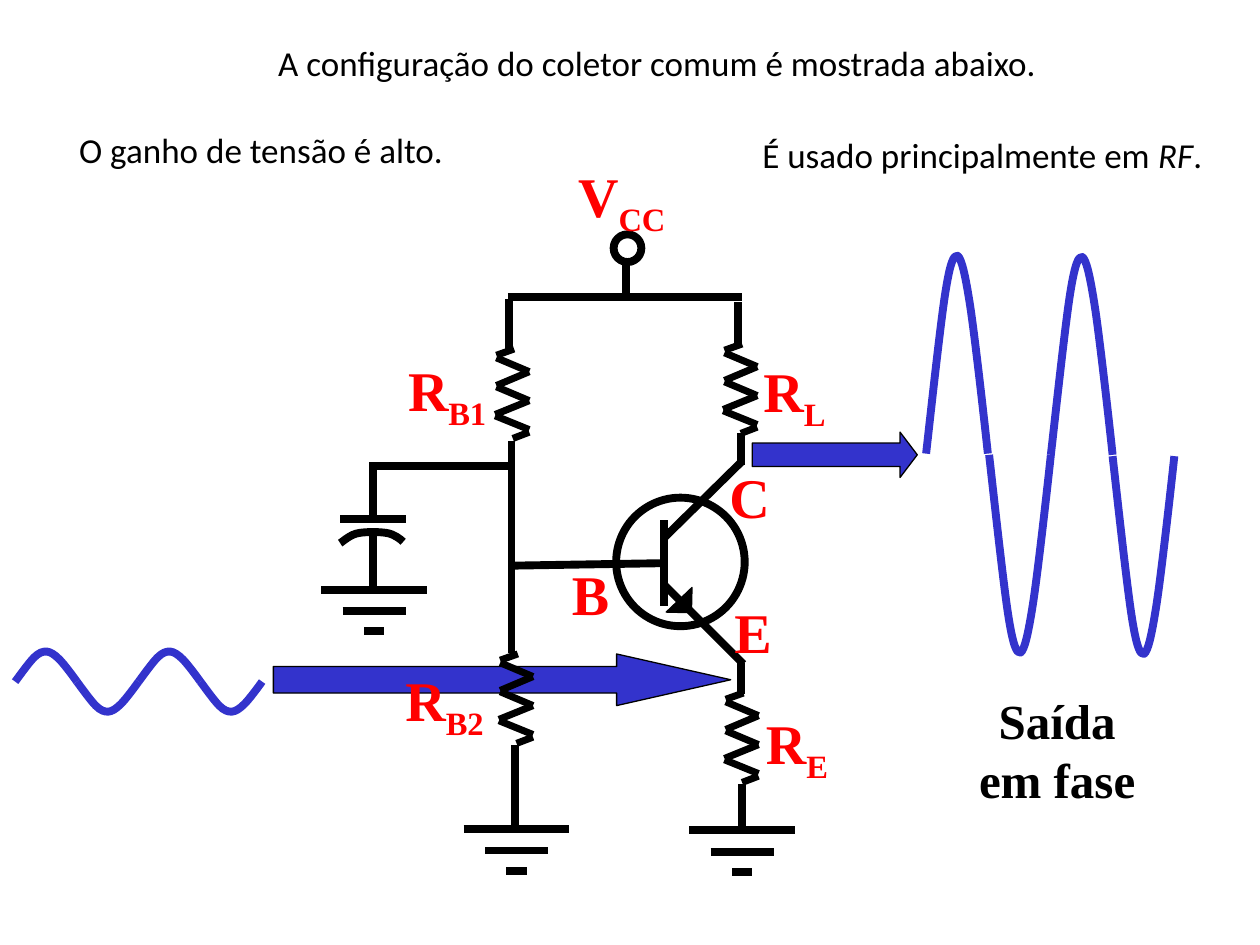
"""Build the common-collector amplifier slide with its input and output waves."""
from lxml import etree
from pptx import Presentation
from pptx import util as u
from pptx.dml.color import RGBColor
from pptx.enum import shapes, text
from pptx.oxml.ns import qn

PX = 9144
BLACK, RED, BLUE = "000000", "FF0000", "3333CC"
SERIF, SANS = "Times New Roman", "Calibri"
HALF_WAVE = [(0, 0), (3, 26), (11, 100), (15, 126), (19, 152), (22, 158), (25, 157),
             (28, 155), (31, 143), (35, 117), (39, 91), (47, 19), (49, 0)]
ZIGZAG = [(27, 18, 1, 7), (27, 41, 1, 30), (27, 64, 0, 53), (0, 52, 27, 41),
          (1, 29, 27, 18), (1, 5, 15, 0), (14, 71, 27, 66)]


def color(code):
    return RGBColor.from_string(code)


class Schematic:
    def __init__(self, slide, wire=4.5, zigzag=4, outline=0.75):
        self.slide = slide
        self.wire_width = wire
        self.zigzag_width = zigzag
        self.outline_width = outline

    def stroke(self, item, code, width):
        item.line.color.rgb = color(code)
        item.line.width = u.Pt(width)

    def wire(self, x1, y1, x2, y2, width=None):
        link = self.slide.shapes.add_connector(
            shapes.MSO_CONNECTOR.STRAIGHT, x1 * PX, y1 * PX, x2 * PX, y2 * PX)
        self.stroke(link, BLACK, width or self.wire_width)
        etree.SubElement(link._element.spPr, qn("a:effectLst"))

    def shape(self, kind, x, y, w, h, fill=None, adjustments=()):
        item = self.slide.shapes.add_shape(kind, x * PX, y * PX, w * PX, h * PX)
        item.shadow.inherit = False
        if fill:
            item.fill.solid()
            item.fill.fore_color.rgb = color(fill)
        else:
            item.fill.background()
        self.stroke(item, BLACK, self.outline_width if fill else self.wire_width)
        for index, value in enumerate(adjustments):
            item.adjustments[index] = value
        return item

    def curve(self, controls, code):
        points = [(round(x * PX), round(y * PX)) for x, y in controls]
        builder = self.slide.shapes.build_freeform(*points[0])
        builder.add_line_segments(points[1:], close=False)
        bend = builder.convert_to_shape()
        bend.shadow.inherit = False
        bend.fill.background()
        self.stroke(bend, code, self.wire_width)
        segments = list(bend._element.iter(qn("a:lnTo")))
        for start in range(0, len(segments), 3):
            first, *others = segments[start:start + 3]
            first.tag = qn("a:cubicBezTo")
            for other in others:
                first.append(other[0])
                other.getparent().remove(other)

    def wave(self, starts, amplitude):
        for half, (x, y) in enumerate(starts):
            rise = amplitude / 158 * (-1 if half % 2 == 0 else 1)
            self.curve([(x + dx, y + rise * dy) for dx, dy in HALF_WAVE], BLUE)

    def resistor(self, x, y):
        for x1, y1, x2, y2 in ZIGZAG:
            self.wire(x + x1, y + y1, x + x2, y + y2, self.zigzag_width)

    def ground(self, center, y):
        for half, drop in ((42, 0), (25, 17), (8, 33)):
            self.wire(center - half, y + drop, center + half, y + drop)

    def text(self, box, paragraphs, size, face, code=BLACK, bold=False,
             centered=False, wrap=False):
        frame = self.slide.shapes.add_textbox(*(v * PX for v in box)).text_frame
        frame.word_wrap = wrap
        frame.auto_size = text.MSO_AUTO_SIZE.SHAPE_TO_FIT_TEXT
        for index, parts in enumerate(paragraphs):
            paragraph = frame.add_paragraph() if index else frame.paragraphs[0]
            font = paragraph.font
            font.size, font.name, font.bold = u.Pt(size), face, bold
            font.color.rgb = color(code)
            if centered:
                paragraph.alignment = text.PP_ALIGN.CENTER
            for words, style in parts:
                run = paragraph.add_run()
                run.text = words
                if style == "italic":
                    run.font.italic = True
                elif style == "sub":
                    run._r.get_or_add_rPr().set("baseline", "-25000")

    def label(self, x, y, w, name, sub=None):
        parts = [(name, None)] + ([(sub, "sub")] if sub else [])
        self.text((x, y, w, 58), [parts], 32, SERIF, RED, bold=True)


def main():
    deck = Presentation()
    deck.slide_width, deck.slide_height = 1000 * PX, 750 * PX
    s = Schematic(deck.slides.add_slide(deck.slide_layouts[6]))
    preset = shapes.MSO_SHAPE

    s.shape(preset.RIGHT_ARROW, 217, 519, 363, 41, BLUE, (0.513, 2.21))
    s.shape(preset.OVAL, 489, 395, 102, 102)
    s.wire(528, 465, 590, 527)
    emitter_tip = s.shape(preset.RIGHT_TRIANGLE, 529, 466, 20, 20, BLACK)
    emitter_tip.rotation = 271.3

    for ends in ((526, 447, 404, 449), (527, 427, 589, 366), (527, 413, 527, 481),
                 (406, 350, 406, 518), (588, 344, 588, 369), (588, 526, 588, 551),
                 (403, 236, 589, 236), (404, 237, 404, 278), (586, 272, 586, 240),
                 (409, 591, 409, 657), (497, 210, 497, 238), (589, 622, 589, 659),
                 (298, 370, 406, 370), (270, 412, 322, 412), (296, 471, 296, 424),
                 (296, 410, 296, 367)):
        s.wire(*ends)
    for corner in ((574, 273), (393, 277), (575, 550), (396, 519)):
        s.resistor(*corner)
    for spot in ((589, 659), (410, 658), (297, 468)):
        s.ground(*spot)
    s.curve([(270, 431), (272, 430), (278, 424), (285, 423), (291, 422),
             (301, 422), (307, 423), (313, 424), (318, 428), (320, 430)], BLACK)
    s.shape(preset.OVAL, 487, 186, 22, 22)

    for tag in ((314, 277, 87, "R", "B1"), (573, 469, 50, "E"), (444, 439, 50, "B"),
                (569, 362, 52, "C"), (596, 278, 72, "R", "L"), (449, 123, 95, "V", "CC"),
                (312, 523, 87, "R", "B2"), (598, 557, 72, "R", "E")):
        s.label(*tag)

    s.shape(preset.RIGHT_ARROW, 597, 343, 131, 36, BLUE, (0.515, 0.379))
    s.wave([(12 + 49 * half, 541) for half in range(4)], 24)
    s.wave([(735, 360), (785, 361), (834, 361), (883, 362)], 158)

    s.text((211, 28, 627, 44),
           [[("A configuração do coletor comum é mostrada abaixo.", None)]], 20, SANS)
    s.text((53, 97, 312, 44), [[("O ganho de tensão é alto.", None)]], 20, SANS)
    s.text((580, 101, 399, 44),
           [[("É usado principalmente em ", None), ("RF", "italic"), (".", None)]],
           20, SANS, centered=True, wrap=True)
    s.text((767, 543, 144, 94), [[("Saída", None)], [("em fase", None)]],
           28, SERIF, bold=True, centered=True)
    deck.save("out.pptx")


if __name__ == "__main__":
    main()
